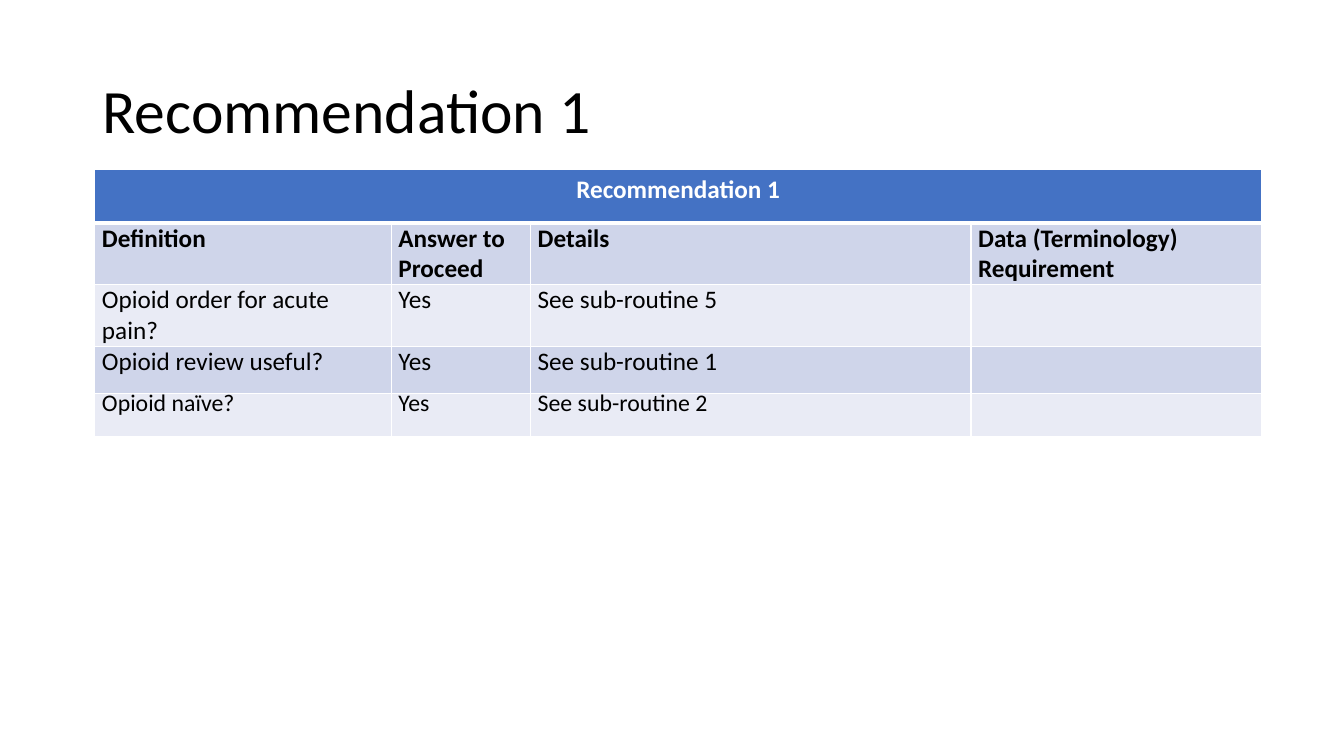
from dataclasses import dataclass

from lxml.etree import SubElement
from pptx import Presentation
from pptx.dml.color import RGBColor as Rgb
from pptx.enum.text import MSO_ANCHOR as Anchor, MSO_AUTO_SIZE as Fit, PP_ALIGN as Align
from pptx.oxml.ns import qn
from pptx.util import Cm, Pt


@dataclass(frozen=True)
class Theme:
    font: str = "Calibri"
    ink: str = "000000"
    white: str = "FFFFFF"
    blue: str = "4472C4"
    dark: str = "CFD5EA"
    light: str = "E9EBF5"
    head: int = 44
    body: int = 18
    small: int = 17
    thin: int = 1
    thick: int = 3


@dataclass(frozen=True)
class Row:
    texts: tuple[str, ...]
    high: float
    fill: str
    size: int = Theme.body
    bold: bool = False
    space: float = 1.0


LOOK = Theme()
WIDTHS = (7.47, 3.51, 11.1, 7.32)
BANNER = Row(("Recommendation 1", "", "", ""), 1.35, LOOK.blue, bold=True)
ROWS = (
    Row(("Definition", "Answer to Proceed", "Details", "Data (Terminology) Requirement"),
        1.32, LOOK.dark, bold=True),
    Row(("Opioid order for acute pain?", "Yes", "See sub-routine 5", ""), 1.19, LOOK.light),
    Row(("Opioid review useful?", "Yes", "See sub-routine 1", ""), 1.19, LOOK.dark),
    Row(("Opioid naïve?", "Yes", "See sub-routine 2", ""), 1.09, LOOK.light,
        size=LOOK.small, space=0.8),
)


def apply(item, form: dict) -> None:
    for name, value in form.items():
        setattr(item, name, value)


def style(para, size: int, color: str, bold: bool = False) -> None:
    apply(para.font, {"name": LOOK.font, "size": Pt(size), "bold": bold})
    para.font.color.rgb = Rgb.from_string(color)


def edge(cell, sides: dict[str, int]) -> None:
    props = cell._tc.get_or_add_tcPr()
    for spot, (side, width) in enumerate(sides.items()):
        line = SubElement(props, qn(f"a:ln{side}"), w=str(Pt(width)))
        fill = SubElement(line, qn("a:solidFill"))
        SubElement(fill, qn("a:srgbClr"), val=LOOK.white)
        props.insert(spot, line)  # borders come before the cell fill


def draw_title(slide, text: str) -> None:
    title = slide.shapes.title
    apply(title, {"left": Cm(2.33), "top": Cm(1.01), "width": Cm(29.21), "height": Cm(3.68)})
    frame = title.text_frame
    frame.text = text
    apply(frame, {"vertical_anchor": Anchor.MIDDLE, "auto_size": Fit.NONE, "word_wrap": True})
    para = frame.paragraphs[0]
    apply(para, {"alignment": Align.LEFT, "line_spacing": 0.9})
    style(para, LOOK.head, LOOK.ink)


def draw_cell(cell, row: Row, text: str, index: int) -> None:
    banner = row is BANNER
    cell.text = text
    cell.fill.solid()
    cell.fill.fore_color.rgb = Rgb.from_string(row.fill)
    if text and not banner:
        apply(cell, {"margin_left": Cm(0.18), "margin_right": Cm(0.18),
                     "margin_top": 0, "margin_bottom": 0})
    para = cell.text_frame.paragraphs[0]
    apply(para, {"alignment": Align.CENTER if banner else Align.LEFT,
                 "line_spacing": row.space})
    style(para, row.size, LOOK.white if banner else LOOK.ink, row.bold)
    edge(cell, {"L": LOOK.thin, "R": LOOK.thin,
                "T": LOOK.thick if index == 1 else LOOK.thin,
                "B": LOOK.thick if banner else LOOK.thin})


def draw_table(slide, rows: tuple[Row, ...]) -> None:
    high = sum(row.high for row in rows)
    table = slide.shapes.add_table(len(rows), len(WIDTHS), Cm(2.39), Cm(4.27),
                                   Cm(sum(WIDTHS)), Cm(high)).table
    for col, width in zip(table.columns, WIDTHS):
        col.width = Cm(width)
    for index, row in enumerate(rows):
        table.rows[index].height = Cm(row.high)
        for col, text in enumerate(row.texts):
            draw_cell(table.cell(index, col), row, text, index)
    # The banner spans every column
    table.cell(0, 0).merge(table.cell(0, len(WIDTHS) - 1))


def main() -> None:
    deck = Presentation()
    apply(deck, {"slide_width": Cm(33.87), "slide_height": Cm(19.05)})
    slide = deck.slides.add_slide(deck.slide_layouts[5])
    draw_title(slide, "Recommendation 1")
    draw_table(slide, (BANNER, *ROWS))
    deck.save("out.pptx")


if __name__ == "__main__":
    main()
